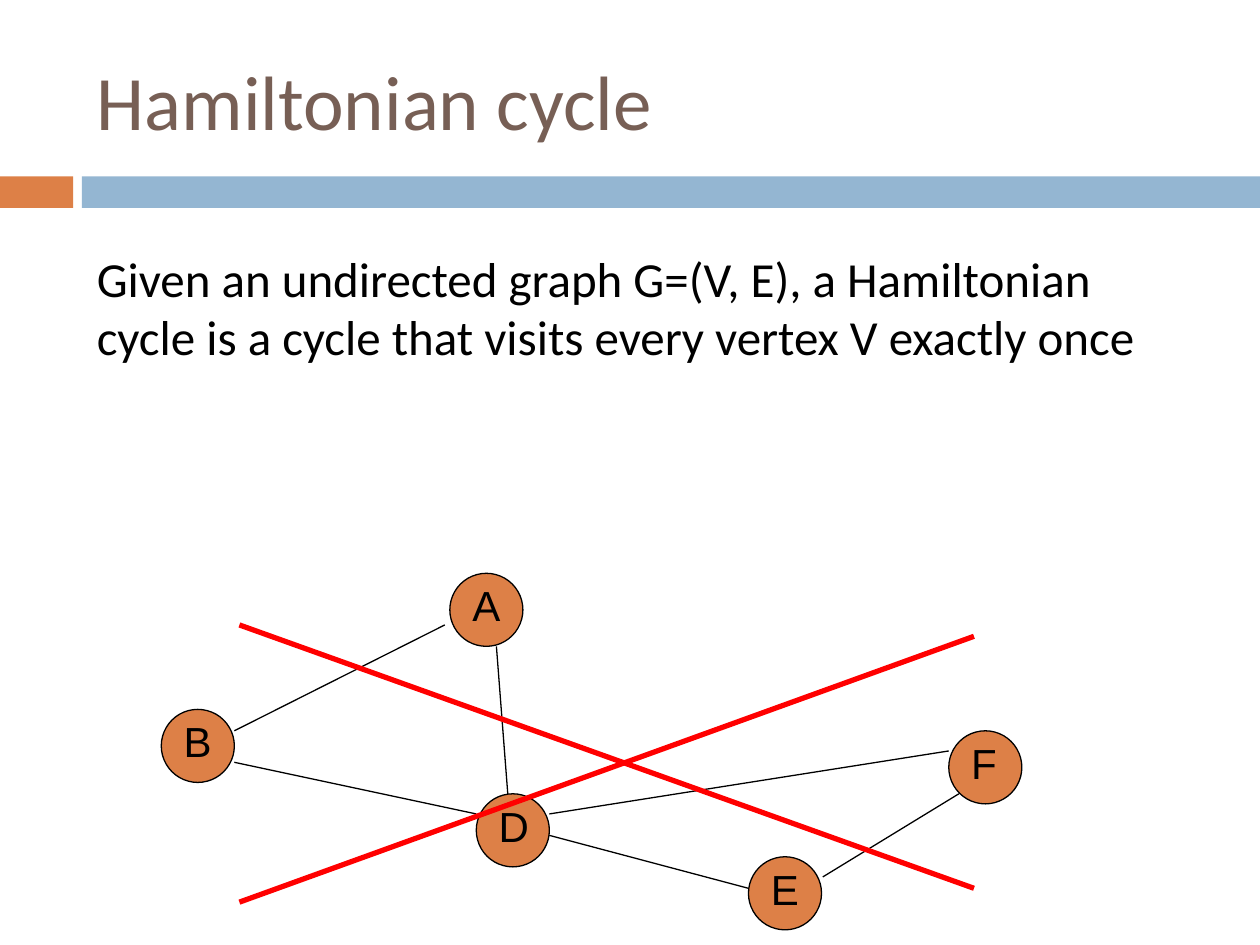
from lxml import etree
from pptx import Presentation
from pptx.dml.color import RGBColor
from pptx.enum.shapes import MSO_CONNECTOR, MSO_SHAPE
from pptx.enum.text import MSO_ANCHOR, PP_ALIGN
from pptx.oxml.ns import qn
from pptx.util import Inches, Pt

COLORS = {"orange": "DD8047", "blue": "94B6D2", "brown": "775F55",
          "black": "000000", "red": "FF0000"}


def add_text(shapes, text, box, size, font, color, anchor=MSO_ANCHOR.TOP):
    sp = shapes.add_textbox(*map(Inches, box))
    tf = sp.text_frame
    tf.word_wrap = True
    tf.vertical_anchor = anchor
    tf.text = text
    p = tf.paragraphs[0]
    p.alignment = PP_ALIGN.LEFT
    r = p.runs[0]
    r.font.size = Pt(size)
    r.font.name = font
    r.font.color.rgb = RGBColor.from_string(COLORS[color])


def add_line(shapes, start, end, color, width):
    line = shapes.add_connector(MSO_CONNECTOR.STRAIGHT, *map(Inches, start + end))
    line.line.color.rgb = RGBColor.from_string(COLORS[color])
    line.line.width = Pt(width)
    etree.SubElement(line._element.spPr, qn("a:effectLst"))


prs = Presentation()
prs.slide_width, prs.slide_height = Inches(10), Inches(7.5)
s = prs.slides.add_slide(prs.slide_layouts[6])

# Bars below the title
for left, width, color in [(0, 0.58, "orange"), (0.65, 9.35, "blue")]:
    bar = s.shapes.add_shape(MSO_SHAPE.RECTANGLE, Inches(left), Inches(1.4),
                             Inches(width), Inches(0.25))
    bar.shadow.inherit = False
    bar.fill.solid()
    bar.fill.fore_color.rgb = RGBColor.from_string(COLORS[color])
    bar.line.fill.background()

# Title and definition
add_text(s.shapes, "Hamiltonian cycle", (0.67, 0.25, 8.92, 1.08), 44,
         "Calibri", "brown", MSO_ANCHOR.MIDDLE)
add_text(s.shapes, "Given an undirected graph G=(V, E), a Hamiltonian cycle "
         "is a cycle that visits every vertex V exactly once",
         (0.67, 1.92, 8.46, 1.51), 28, "Calibri", "black")

# Vertices: a circle and its letter in one group
vertices = {"A": (3.57, 4.55), "B": (1.28, 5.63), "E": (5.94, 6.8),
            "D": (3.78, 6.3), "F": (7.53, 5.8)}
for name, (x, y) in vertices.items():
    group = s.shapes.add_group_shape()
    circle = group.shapes.add_shape(MSO_SHAPE.OVAL, Inches(x), Inches(y),
                                    Inches(0.58), Inches(0.58))
    circle.shadow.inherit = False
    circle.fill.solid()
    circle.fill.fore_color.rgb = RGBColor.from_string(COLORS["orange"])
    circle.line.color.rgb = RGBColor.from_string(COLORS["black"])
    circle.line.width = Pt(0.75)
    add_text(group.shapes, name, (x + 0.08, y, 0.5, 0.5), 24, "Arial", "black",
             MSO_ANCHOR.MIDDLE)

# Edges
edges = [
    ((1.86, 5.8), (3.53, 4.96)),   # B-A
    ((1.86, 6.05), (3.78, 6.46)),  # B-D
    ((4.03, 6.3), (3.94, 5.13)),   # D-A
    ((4.36, 6.63), (5.94, 7.05)),  # D-E
    ((6.53, 6.96), (7.61, 6.3)),   # E-F
    ((4.36, 6.46), (7.53, 5.96)),  # D-F
]
for start, end in edges:
    add_line(s.shapes, start, end, "black", 0.75)

# Red cross over the graph
for start, end in [((1.9, 4.96), (7.73, 7.05)), ((1.9, 7.16), (7.73, 5.05))]:
    add_line(s.shapes, start, end, "red", 3)

prs.save("out.pptx")
